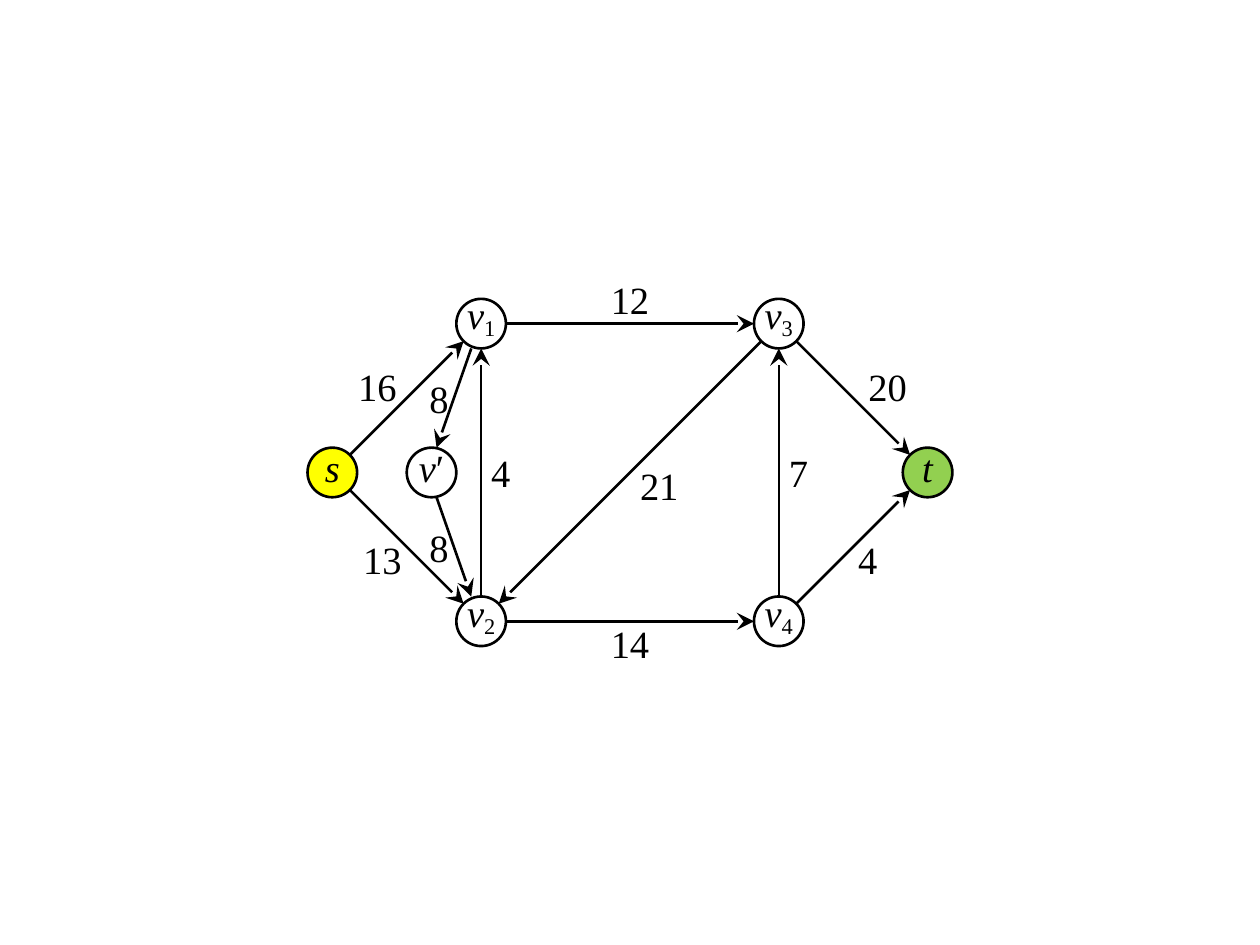
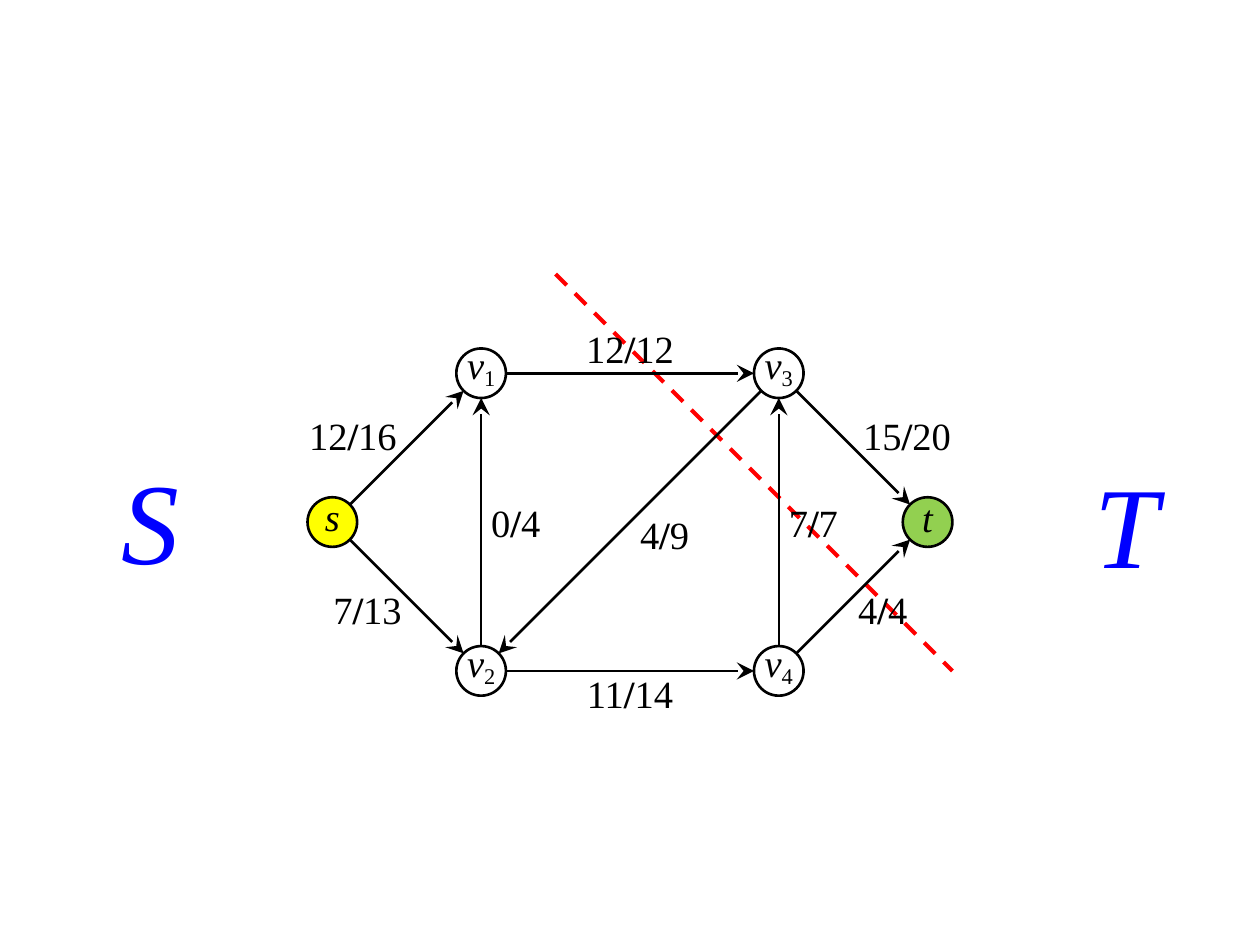
from math import hypot

from lxml import etree
from pptx import Presentation
from pptx.dml.color import RGBColor
from pptx.enum.dml import MSO_LINE
from pptx.enum.shapes import MSO_CONNECTOR, MSO_SHAPE
from pptx.enum.text import MSO_ANCHOR, MSO_AUTO_SIZE, PP_ALIGN
from pptx.oxml.ns import qn
from pptx.util import Inches, Pt

LEFT, CENTER, RIGHT = PP_ALIGN.LEFT, PP_ALIGN.CENTER, PP_ALIGN.RIGHT
MIDDLE, BOTTOM = MSO_ANCHOR.MIDDLE, MSO_ANCHOR.BOTTOM
STRAIGHT, OVAL, DASH = MSO_CONNECTOR.STRAIGHT, MSO_SHAPE.OVAL, MSO_LINE.DASH
NO_AUTOFIT = MSO_AUTO_SIZE.NONE

WIDTH, HEIGHT = 10, 7.5
CELL = 1 / 2.54
RADIUS = 0.5
FONT = "Times New Roman"
BLACK, WHITE, YELLOW, GREEN, RED, BLUE = (
    "000000", "FFFFFF", "FFFF00", "92D050", "FF0000", "0000FF")

# Grid columns and rows are counted from the middle of the network.
NODES = {
    "v1": (-3, -3, WHITE), "v2": (-3, 3, WHITE),
    "v3": (3, -3, WHITE), "v4": (3, 3, WHITE),
    "s": (-6, 0, YELLOW), "t": (6, 0, GREEN),
}
DETOUR_NODE = {"v′": (-4, 0, WHITE)}
DETOUR_LINES = [((-3.2, -2.5), (-3.9, -0.5)), ((-3.9, 0.5), (-3.2, 2.5))]

# Edge: label anchor column, top row, rows, alignment, bottom inset
EDGES = {
    ("s", "v1"): (-4.5, -2.5, 1.5, RIGHT, 0),
    ("v1", "v3"): (0, -4, 1, CENTER, 0),
    ("s", "v2"): (-4.5, 1, 1.5, RIGHT, 0),
    ("v3", "t"): (4.5, -2.5, 1.5, LEFT, 0),
    ("v2", "v4"): (0, 3, 1, CENTER, 0.04),
    ("v4", "t"): (4.5, 1, 1.5, LEFT, 0),
    ("v3", "v2"): (0, -0.5, 1.5, LEFT, 0),
    ("v2", "v1"): (-3, -0.5, 1, LEFT, 0),
    ("v4", "v3"): (3, -0.5, 1, LEFT, 0),
}
DETOUR_SLOTS = [(-4, -2, 1, CENTER, 0), (-4, 1, 1, CENTER, 0)]

# Label: text, columns, side inset; in the order of the edges
CAPACITIES = [
    ("16", 1.5, 0.08), ("12", 1, 0), ("13", 1.5, 0.04), ("20", 1.5, 0.12), ("14", 1, 0),
    ("4", 1.5, 0.04), ("21", 1.5, 0.08), ("4", 1, 0.08), ("7", 1, 0.08),
]
DETOUR_CAPACITIES = [("8", 1, 0.12), ("8", 1, 0.12)]
FLOWS = [
    ("12/16", 2, 0.08), ("12/12", 2, 0), ("7/13", 2, 0.04), ("15/20", 2, 0.08),
    ("11/14", 2, 0), ("4/4", 1.5, 0.04), ("4/9", 1.5, 0.08), ("0/4", 1.5, 0.08),
    ("7/7", 1.5, 0.08),
]
CUT_LINE = ((-1.5, -5), (6.5, 3))
CUT_SETS = [("S", -10.5, -1.78, 0.08), ("T", 9.12, -1.73, 0.05)]


def color(value):
    return RGBColor.from_string(value)


def add_run(paragraph, text, size=22, ink=BLACK, bold=False, italic=False):
    run = paragraph.add_run()
    run.text = text
    font = run.font
    font.name, font.size, font.bold, font.italic = FONT, Pt(size), bold, italic
    font.color.rgb = color(ink)
    return run


def format_frame(shape, anchor, align, insets, wrap):
    frame = shape.text_frame
    frame.auto_size = NO_AUTOFIT
    frame.word_wrap = wrap
    frame.vertical_anchor = anchor
    (frame.margin_left, frame.margin_top,
     frame.margin_right, frame.margin_bottom) = map(Inches, insets)
    paragraph = frame.paragraphs[0]
    paragraph.alignment = align
    return paragraph


class Network:
    def __init__(self, presentation, row_shift):
        self.shapes = presentation.slides.add_slide(presentation.slide_layouts[6]).shapes
        self.row_shift = row_shift

    def point(self, column, row):
        return (Inches(WIDTH / 2 + column * CELL),
                Inches(HEIGHT / 2 + (row + self.row_shift) * CELL))

    def box(self, column, row, columns, rows):
        return *self.point(column, row), Inches(columns * CELL), Inches(rows * CELL)

    def add_line(self, start, end, ink=BLACK, width=1.5, dashed=False):
        connector = self.shapes.add_connector(STRAIGHT, *self.point(*start), *self.point(*end))
        connector.line.color.rgb = color(ink)
        connector.line.width = Pt(width)
        properties = connector._element.spPr
        if dashed:
            connector.line.dash_style = DASH
        else:
            etree.SubElement(properties.find(qn("a:ln")), qn("a:tailEnd"),
                             type="stealth", w="lg", len="lg")
        etree.SubElement(properties, qn("a:effectLst"))

    def add_edge(self, source, target):
        (x1, y1, _), (x2, y2, _) = NODES[source], NODES[target]
        share = RADIUS / hypot(x2 - x1, y2 - y1)
        dx, dy = (x2 - x1) * share, (y2 - y1) * share
        self.add_line((x1 + dx, y1 + dy), (x2 - dx, y2 - dy))

    def add_node(self, name, column, row, fill):
        shape = self.shapes.add_shape(OVAL, *self.box(
            column - RADIUS, row - RADIUS, 2 * RADIUS, 2 * RADIUS))
        shape.shadow.inherit = False
        shape.fill.solid()
        shape.fill.fore_color.rgb = color(fill)
        shape.line.color.rgb = color(BLACK)
        shape.line.width = Pt(1.5)
        sink = name == "t"
        paragraph = format_frame(shape, MIDDLE if sink else BOTTOM, CENTER,
                                 (0, 0, 0, 0.08 if sink else 0), True)
        add_run(paragraph, name[0], italic=True)
        if name[1:]:
            mark = add_run(paragraph, name[1:])
            if name[1:].isdigit():
                mark.font._element.set("baseline", "-18000")

    def add_label(self, slot, label):
        anchor_column, row, rows, align, bottom = slot
        text, columns, inset = label
        left = anchor_column - columns * {LEFT: 0, CENTER: 0.5, RIGHT: 1}[align]
        shape = self.shapes.add_textbox(*self.box(left, row, columns, rows))
        insets = (0, 0, inset, bottom) if align == RIGHT else (inset, 0, 0, bottom)
        paragraph = format_frame(shape, MIDDLE, align, insets, False)
        flow, slash, capacity = text.partition("/")
        add_run(paragraph, flow)
        if slash:
            add_run(paragraph, slash, bold=True)
            add_run(paragraph, capacity)

    def add_set_name(self, name, column, row, bottom):
        shape = self.shapes.add_textbox(*self.box(column, row, 2, 3.5))
        paragraph = format_frame(shape, MIDDLE, LEFT, (0.1, 0.04, 0.1, bottom), False)
        add_run(paragraph, name, size=66, ink=BLUE, italic=True)

    def draw(self, labels):
        for slot, label in zip(EDGES.values(), labels):
            self.add_label(slot, label)
        for name, place in NODES.items():
            self.add_node(name, *place)
        for edge in EDGES:
            self.add_edge(*edge)


def main():
    presentation = Presentation()
    presentation.slide_width, presentation.slide_height = Inches(WIDTH), Inches(HEIGHT)

    capacity_network = Network(presentation, 0)
    capacity_network.draw(CAPACITIES)
    for name, place in DETOUR_NODE.items():
        capacity_network.add_node(name, *place)
    for ends, slot, label in zip(DETOUR_LINES, DETOUR_SLOTS, DETOUR_CAPACITIES):
        capacity_network.add_line(*ends)
        capacity_network.add_label(slot, label)

    flow_network = Network(presentation, 1)
    flow_network.add_line(*CUT_LINE, ink=RED, width=2.25, dashed=True)
    flow_network.draw(FLOWS)
    for cut_set in CUT_SETS:
        flow_network.add_set_name(*cut_set)

    presentation.save("out.pptx")


if __name__ == "__main__":
    main()
